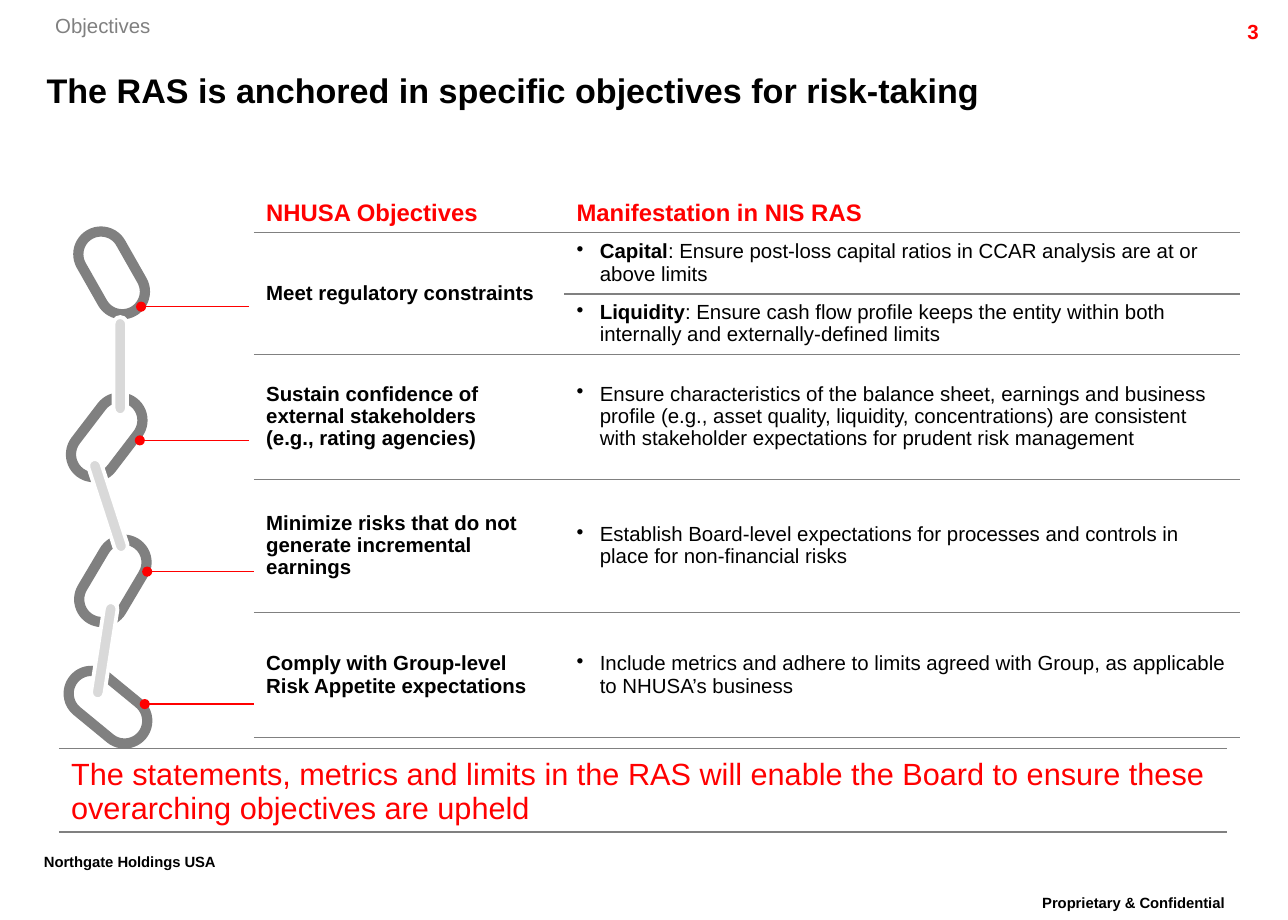
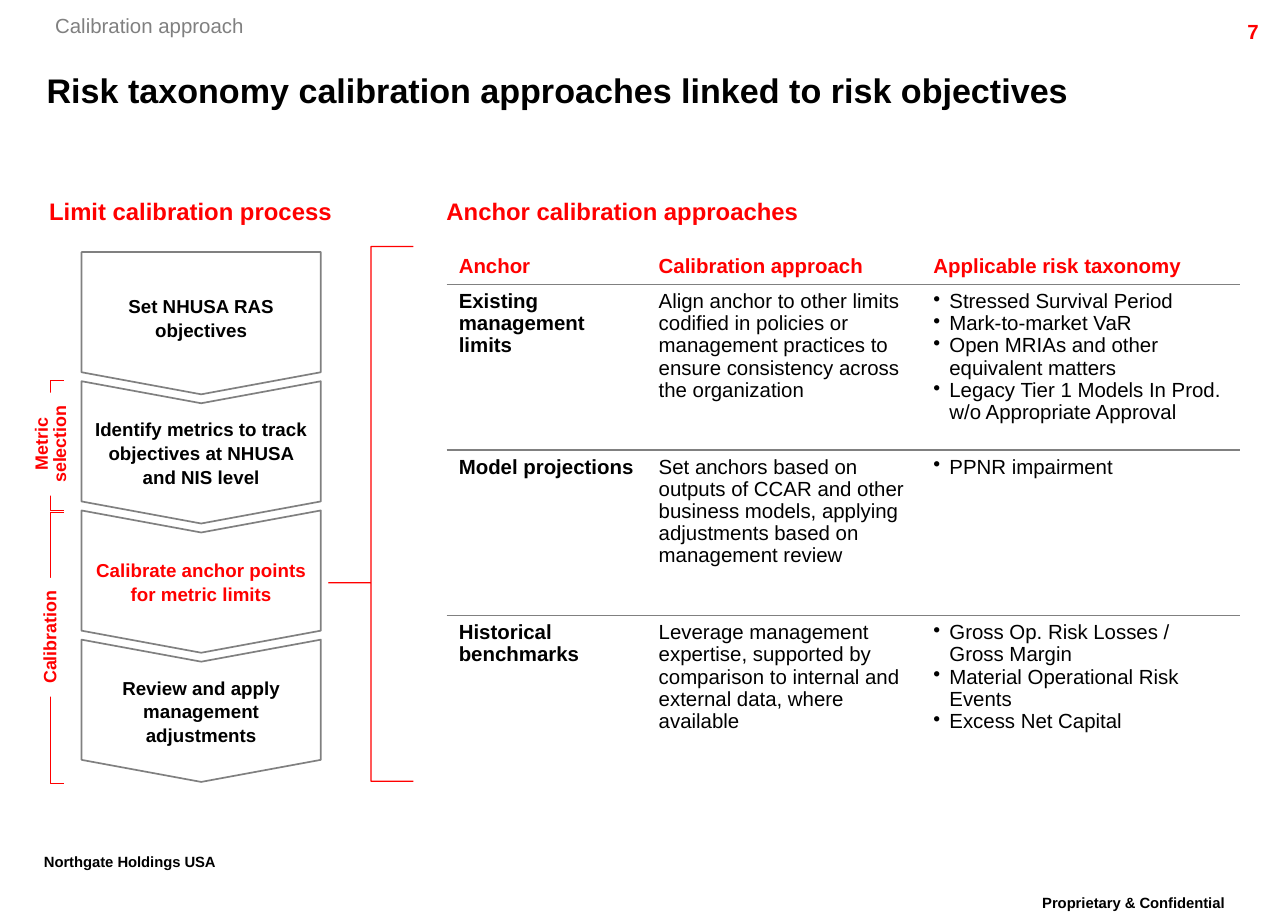
from lxml import etree
from pptx import Presentation
from pptx.dml.color import RGBColor as Rgb
from pptx.enum.shapes import MSO_CONNECTOR as Conn, MSO_SHAPE as Kind
from pptx.enum.text import MSO_ANCHOR as Anchor, PP_ALIGN as Align
from pptx.oxml.ns import qn
from pptx.util import Inches, Pt

COLORS = {"ink": "000000", "red": "FF0000", "gray": "808080",
          "pale": "D9D9D9", "white": "FFFFFF"}
FONT = "Arial"
PLAIN = "{2D5ABB26-0587-4C30-8999-92F81FD0307C}"  # table style without lines


def tint(name):
    return Rgb.from_string(COLORS[name])


class Deck:
    def __init__(self):
        self.prs = Presentation()
        self.prs.slide_width, self.prs.slide_height = Inches(10.5), Inches(7.5)
        self.slide = None

    def page(self, topic, title, number):
        """Start a slide with the frame that all slides share."""
        self.slide = self.prs.slides.add_slide(self.prs.slide_layouts[6])
        self.label(8.15, 7.25, 2.18, 0.35, "Proprietary & Confidential", 15,
                   pad=(0.1, 0.05), align=Align.CENTER, raised=True, space=0.86)
        self.label(0.26, 6.91, 2.2, 0.35, "Northgate Holdings USA", 15,
                   pad=(0.1, 0.05), raised=True, space=0.86)
        self.label(9.36, 0.11, 1, 0.24, number, 12, "red",
                   pad=(0.1, 0.05), align=Align.RIGHT)
        self.label(0.38, 0.49, 9.48, 0.48, title, 20, anchor=Anchor.MIDDLE)
        self.label(0.45, 0.11, 3, 0.2, topic, 12, "gray", bold=False)

    def put(self, frame, text, size, color="ink", bold=True, align=Align.LEFT,
            space=1.0, indent=0, raised=False):
        """Fill a frame; a bar in a line ends its bold lead."""
        lines = text.split("\n")
        frame.text = "\n".join(line.split("|")[0] for line in lines)
        for para, line in zip(frame.paragraphs, lines):
            bar, rest = line.partition("|")[1:]
            if indent:
                props = para._p.get_or_add_pPr()
                props.set("marL", str(Inches(indent)))
                props.set("indent", str(-Inches(indent)))
                etree.SubElement(props, qn("a:buChar")).set("char", "•")
            if bar:
                para.add_run().text = rest
            para.alignment, para.line_spacing = align, space
            for spot, run in enumerate(para.runs):
                font = run.font
                font.name, font.size = FONT, Pt(size)
                font.bold = bold or (bool(bar) and spot == 0)
                font.color.rgb = tint(color)
                if raised:
                    run._r.get_or_add_rPr().set("baseline", "30000")

    def inset(self, frame, side, end):
        frame.margin_left = frame.margin_right = Inches(side)
        frame.margin_top = frame.margin_bottom = Inches(end)

    def label(self, left, top, width, height, text, size, color="ink",
              pad=(0, 0), anchor=Anchor.TOP, **style):
        box = self.slide.shapes.add_textbox(
            Inches(left), Inches(top), Inches(width), Inches(height))
        frame = box.text_frame
        frame.word_wrap, frame.vertical_anchor = True, anchor
        self.inset(frame, *pad)
        self.put(frame, text, size, color, **style)

    def shape(self, kind, left, top, width, height, fill=None, line=None,
              weight=0.75, turn=0, adjust=()):
        item = self.slide.shapes.add_shape(
            kind, Inches(left), Inches(top), Inches(width), Inches(height))
        item.shadow.inherit = False
        item.rotation = turn
        for spot, value in enumerate(adjust):
            item.adjustments[spot] = value
        if fill:
            item.fill.solid()
            item.fill.fore_color.rgb = tint(fill)
        else:
            item.fill.background()
        if line:
            item.line.color.rgb, item.line.width = tint(line), Pt(weight)
        else:
            item.line.fill.background()
        return item

    def pointer(self, start, end, y):
        """Draw a red line that ends in a dot."""
        line = self.slide.shapes.add_connector(
            Conn.STRAIGHT, Inches(start), Inches(y), Inches(end), Inches(y))
        line.line.color.rgb, line.line.width = tint("red"), Pt(0.75)
        props = line._element.spPr
        etree.SubElement(props.find(qn("a:ln")), qn("a:tailEnd")).set("type", "oval")
        etree.SubElement(props, qn("a:effectLst"))

    def tag(self, left, top, width, height, text):
        """Put an upright label on a white patch."""
        patch = self.shape(Kind.RECTANGLE, left, top, width, height, "white", turn=270)
        frame = patch.text_frame
        frame.word_wrap, frame.vertical_anchor = False, Anchor.MIDDLE
        self.put(frame, text, 10.5, "red", align=Align.CENTER, space=0.86)

    def step(self, kind, left, top, text, color):
        """Draw a downward step with level text."""
        item = self.shape(kind, left, top, 1.16, 1.95, "white", "gray", 1,
                          90, (0.155,))
        frame = item.text_frame
        frame.word_wrap, frame.vertical_anchor = True, Anchor.MIDDLE
        self.inset(frame, 0.08, 0.08)
        self.put(frame, text, 11, color, align=Align.CENTER, space=1.05)
        body = frame._txBody.bodyPr
        body.set("vert", "vert")
        body.set("rot", "10800000")

    def grid(self, left, top, cols, rows):
        frame = self.slide.shapes.add_table(
            len(rows), len(cols), Inches(left), Inches(top),
            Inches(sum(cols)), Inches(sum(rows)))
        table = frame.table
        table.first_row = table.horz_banding = False
        table._tbl.tblPr.find(qn("a:tableStyleId")).text = PLAIN
        for col, width in zip(table.columns, cols):
            col.width = Inches(width)
        for row, height in zip(table.rows, rows):
            row.height = Inches(height)
        return table

    def cell(self, cell, text, size=12, color="ink", anchor=Anchor.MIDDLE,
             sides="B", weight=0.75, **style):
        cell.fill.background()
        cell.vertical_anchor = anchor
        self.inset(cell, 0.1, 0.05)
        if text:
            self.put(cell.text_frame, text, size, color, space=0.97, **style)
        for side in sides:
            line = etree.Element(qn("a:ln" + side), w=str(Pt(weight)))
            fill = etree.SubElement(line, qn("a:solidFill"))
            etree.SubElement(fill, qn("a:srgbClr")).set("val", COLORS["gray"])
            cell._tc.get_or_add_tcPr().insert(0, line)


def goals(deck):
    deck.page("Objectives",
              "The RAS is anchored in specific objectives for risk-taking", "3")

    # Chain
    for left, top, turn in ((0.55, 2.04, 60.4), (0.51, 3.38, 127.4),
                            (0.56, 4.55, 120.7), (0.52, 5.58, 39.4)):
        deck.shape(Kind.ROUNDED_RECTANGLE, left, top, 0.72, 0.37, None,
                   "gray", 6, turn, (0.5,))
    for left, top, turn in ((0.45, 5.25, 98.8), (0.48, 4.07, 72), (0.58, 2.93, 90)):
        deck.shape(Kind.ROUNDED_RECTANGLE, left, top, 0.8, 0.11, "pale",
                   "white", 2.25, turn, (0.5,))
    for start, end, y in ((2.03, 1.15, 2.5), (2.03, 1.14, 3.59),
                          (2.07, 1.2, 4.66), (2.07, 1.18, 5.74)):
        deck.pointer(start, end, y)

    # Objectives and what they mean
    rows = (
        ("Meet regulatory constraints",
         "Capital|: Ensure post-loss capital ratios in CCAR analysis are at or "
         "above limits"),
        ("", "Liquidity|: Ensure cash flow profile keeps the entity within both "
         "internally and externally-defined limits"),
        ("Sustain confidence of external stakeholders\v(e.g., rating agencies)",
         "Ensure characteristics of the balance sheet, earnings and business "
         "profile (e.g., asset quality, liquidity, concentrations) are consistent "
         "with stakeholder expectations for prudent risk management"),
        ("Minimize risks that do not generate incremental earnings",
         "Establish Board-level expectations for processes and controls in place "
         "for non-financial risks"),
        ("Comply with Group-level Risk Appetite expectations",
         "Include metrics and adhere to limits agreed with Group, as applicable "
         "to NHUSA’s business"),
    )
    table = deck.grid(2.07, 1.57, (2.53, 5.51), (0.31, 0.5, 0.49, 1.02, 1.09, 1.02))
    for col, head in enumerate(("NHUSA Objectives", "Manifestation in NIS RAS")):
        deck.cell(table.cell(0, col), head, 14, "red", Anchor.BOTTOM)
    for row, (goal, means) in enumerate(rows, 1):
        deck.cell(table.cell(row, 0), goal)
        deck.cell(table.cell(row, 1), means, bold=False, indent=0.19)
    table.cell(1, 0).merge(table.cell(2, 0))

    # Closing band
    band = deck.grid(0.48, 6.1, (9.52,), (0.66,))
    deck.cell(band.cell(0, 0), "The statements, metrics and limits in the RAS will "
              "enable the Board to ensure these overarching objectives are upheld",
              18, "red", Anchor.BOTTOM, "BT", bold=False)


def limits(deck):
    deck.page("Calibration approach",
              "Risk taxonomy calibration approaches linked to risk objectives", "7")
    deck.label(0.4, 1.6, 2.98, 0.45, "Limit calibration process", 14, "red")
    deck.label(3.64, 1.6, 6, 0.45, "Anchor calibration approaches", 14, "red")

    # Anchor table
    rows = (
        ("Existing management limits",
         "Align anchor to other limits codified in policies or management "
         "practices to ensure consistency across the organization",
         "Stressed Survival Period\nMark-to-market VaR\n"
         "Open MRIAs and other equivalent matters\n"
         "Legacy Tier 1 Models In Prod. w/o Appropriate Approval"),
        ("Model projections",
         "Set anchors based on outputs of CCAR and other business models, "
         "applying adjustments based on management review",
         "PPNR impairment"),
        ("Historical benchmarks",
         "Leverage management expertise, supported by comparison to internal "
         "and external data, where available",
         "Gross Op. Risk Losses / Gross Margin\n"
         "Material Operational Risk Events\nExcess Net Capital"),
    )
    table = deck.grid(3.64, 2.01, (1.63, 2.24, 2.6), (0.31, 1.35, 1.35, 1.35))
    heads = ("Anchor", "Calibration approach", "Applicable risk taxonomy")
    for col, head in enumerate(heads):
        deck.cell(table.cell(0, col), head, 12, "red", Anchor.BOTTOM, weight=1)
    for row, texts in enumerate(rows, 1):
        for col, text in enumerate(texts):
            deck.cell(table.cell(row, col), text, anchor=Anchor.TOP, weight=1,
                      sides="B" if row < len(rows) else "",
                      bold=col == 0, indent=0.13 if col == 2 else 0)

    # Brackets and their labels
    deck.shape(Kind.LEFT_BRACE, 2.68, 2.01, 0.69, 4.36, line="red",
               adjust=(0, 0.629))
    for top, height in ((4.18, 2.21), (3.1, 1.06)):
        deck.shape(Kind.LEFT_BRACKET, 0.41, top, 0.11, height, line="red",
                   adjust=(0,))
    deck.tag(-0.07, 5.07, 0.97, 0.25, "Calibration")
    deck.tag(0, 3.42, 0.84, 0.4, "Metric\nselection")

    # Process steps
    steps = (("Set NHUSA RAS objectives", "ink"),
             ("Identify metrics to track objectives at NHUSA and NIS level", "ink"),
             ("Calibrate anchor points for metric limits", "red"),
             ("Review and apply management adjustments", "ink"))
    gap = (4.82 - 1.66) / (len(steps) - 1)
    for spot, (text, color) in enumerate(steps):
        kind = Kind.CHEVRON if spot else Kind.PENTAGON
        deck.step(kind, 1.06, 1.66 + spot * gap, text, color)


def main():
    deck = Deck()
    goals(deck)
    limits(deck)
    deck.prs.save("out.pptx")


if __name__ == "__main__":
    main()
